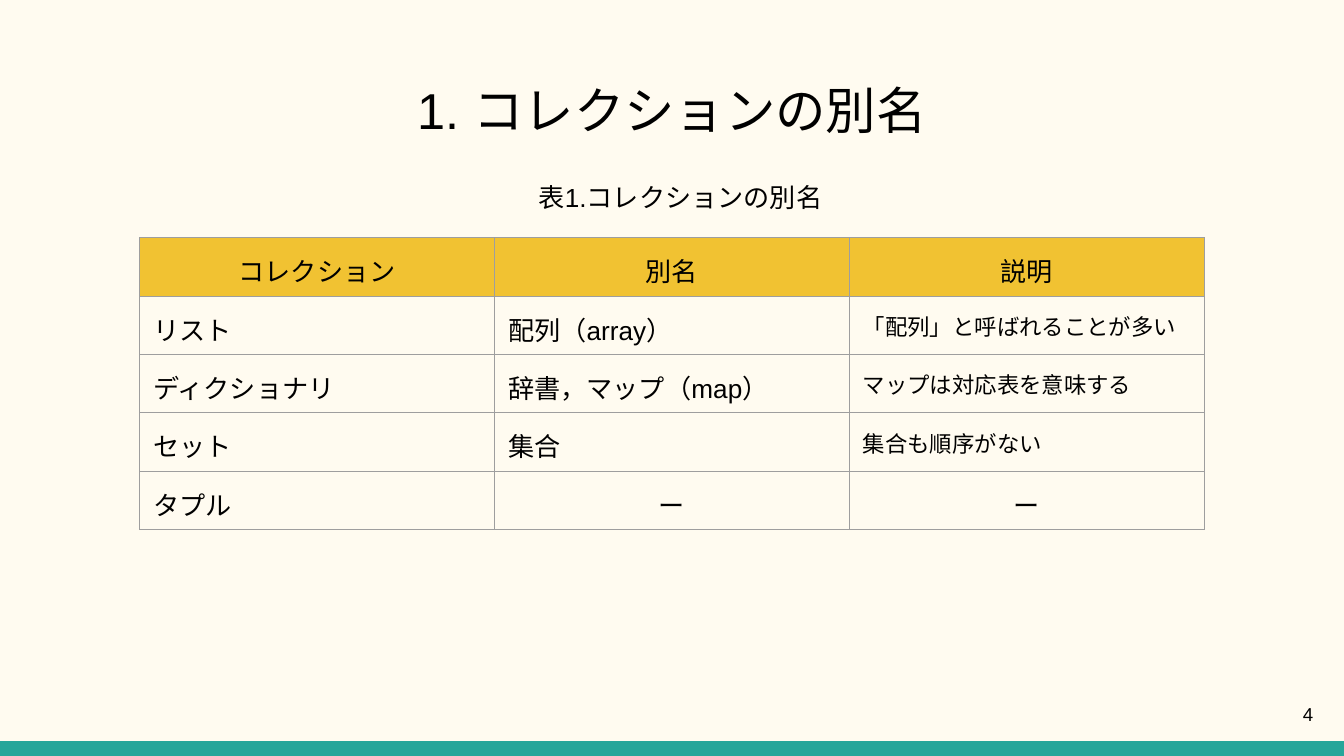
from lxml.etree import SubElement
from pptx import Presentation
from pptx.dml.color import RGBColor
from pptx.enum.shapes import MSO_SHAPE
from pptx.enum.text import MSO_ANCHOR, PP_ALIGN
from pptx.oxml.ns import qn
from pptx.util import Inches, Pt

COLORS = {
    "background": "FFFBF0",
    "footer": "26A69A",
    "header": "F1C232",
    "border": "9E9E9E",
    "text": "000000",
}
MARGINS = {side: Inches(0.1) for side in
           ("margin_left", "margin_right", "margin_top", "margin_bottom")}


def write(frame, text, size, align=PP_ALIGN.LEFT):
    paragraph = frame.paragraphs[0]
    paragraph.alignment = align
    run = paragraph.add_run()
    run.text = text
    for name, value in {"name": "Arial", "size": Pt(size), "bold": False}.items():
        setattr(run.font, name, value)
    run.font.color.rgb = RGBColor.from_string(COLORS["text"])


def add_borders(cell):
    properties = cell._tc.get_or_add_tcPr()
    for position, side in enumerate(("a:lnL", "a:lnR", "a:lnT", "a:lnB")):
        line = SubElement(properties, qn(side), w=str(Pt(0.75)))
        fill = SubElement(line, qn("a:solidFill"))
        SubElement(fill, qn("a:srgbClr"), val=COLORS["border"])
        properties.insert(position, line)  # borders precede the cell fill


prs = Presentation()
prs.slide_width = Inches(10)
prs.slide_height = prs.slide_width * 9 // 16
slide = prs.slides.add_slide(prs.slide_layouts[5])
slide.background.fill.solid()
slide.background.fill.fore_color.rgb = RGBColor.from_string(COLORS["background"])

footer_height = Inches(0.11)
footer = slide.shapes.add_shape(
    MSO_SHAPE.RECTANGLE, 0, prs.slide_height - footer_height,
    prs.slide_width, footer_height)
footer.shadow.inherit = False
footer.fill.solid()
footer.fill.fore_color.rgb = RGBColor.from_string(COLORS["footer"])
footer.line.fill.background()

# Text around the table
title = slide.shapes.title
title.left, title.top = Inches(0.34), Inches(0.49)
title.width, title.height = Inches(9.32), Inches(0.67)
caption = slide.shapes.add_textbox(
    Inches(3.91), Inches(1.25), Inches(3.14), Inches(0.44))
page_number = slide.shapes.add_textbox(
    Inches(9.27), Inches(5.1), Inches(0.6), Inches(0.43))

for box, text, size, align, anchor in [
    (title, "1. コレクションの別名", 27, PP_ALIGN.CENTER, MSO_ANCHOR.TOP),
    (caption, "表1.コレクションの別名", 14, PP_ALIGN.LEFT, MSO_ANCHOR.TOP),
    (page_number, "4", 10, PP_ALIGN.RIGHT, MSO_ANCHOR.MIDDLE),
]:
    frame = box.text_frame
    for name, value in {**MARGINS, "word_wrap": True, "vertical_anchor": anchor}.items():
        setattr(frame, name, value)
    write(frame, text, size, align)

# Table of collections and their other names
aliases = [
    ("コレクション", "別名", "説明"),
    ("リスト", "配列（array）", "「配列」と呼ばれることが多い"),
    ("ディクショナリ", "辞書，マップ（map）", "マップは対応表を意味する"),
    ("セット", "集合", "集合も順序がない"),
    ("タプル", "ー", "ー"),
]
row_height = 0.42  # rows grow to fit their text
table = slide.shapes.add_table(
    len(aliases), 3, Inches(1.04), Inches(1.77),
    Inches(3 * 2.64), Inches(len(aliases) * row_height)).table
table.horz_banding = False

for row, texts in enumerate(aliases):
    for column, text in enumerate(texts):
        cell = table.cell(row, column)
        for name, value in MARGINS.items():
            setattr(cell, name, value)
        is_header = row == 0
        if is_header:
            cell.fill.solid()
            cell.fill.fore_color.rgb = RGBColor.from_string(COLORS["header"])
        else:
            cell.fill.background()
        is_centered = is_header or text == "ー"
        is_note = column == 2 and not is_centered
        write(cell.text_frame, text, 12 if is_note else 14,
              PP_ALIGN.CENTER if is_centered else PP_ALIGN.LEFT)
        add_borders(cell)

prs.save("out.pptx")
